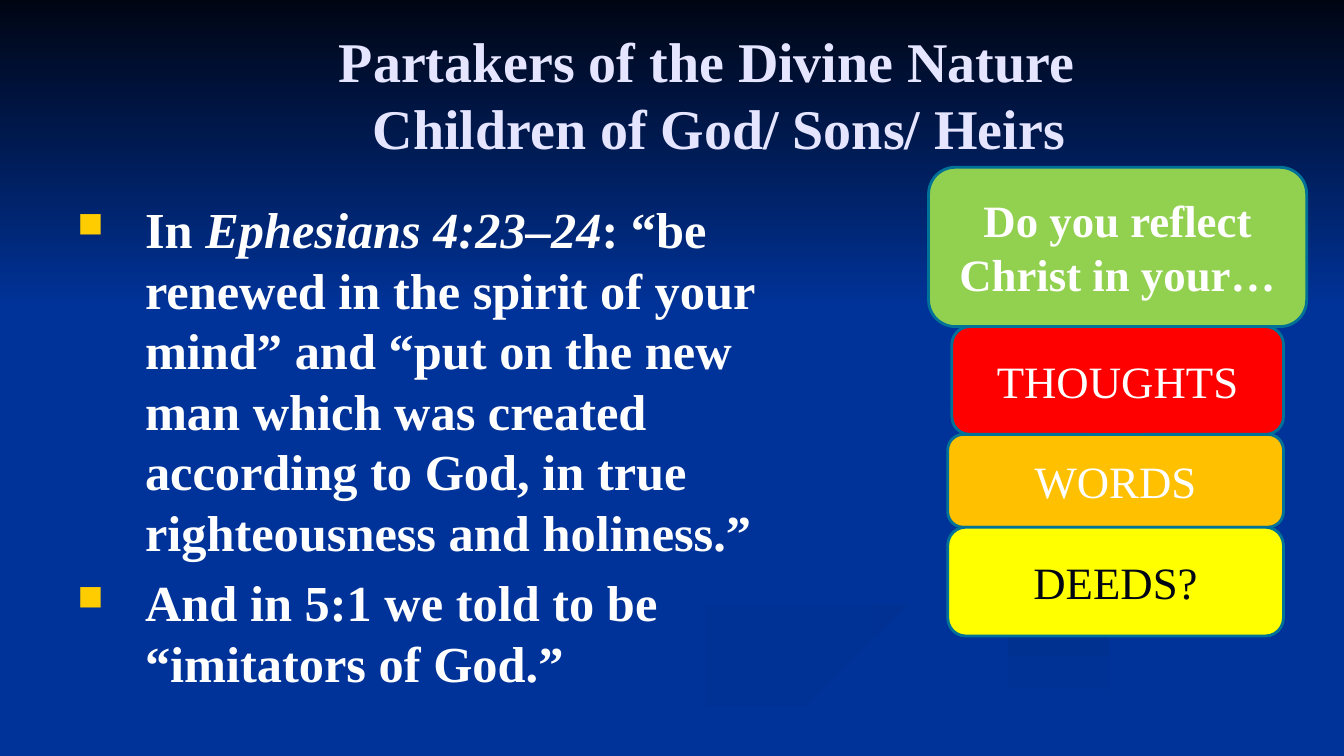
import pptx
import pptx.util
import pptx.dml.color
import pptx.enum.shapes
import pptx.enum.text
import pptx.oxml.ns
from lxml import etree

COLUMNS, ROWS = 13.33, 7.5
UNIT = pptx.util.Inches(1)
FONT = "Times New Roman"
COLORS = {
    "ground": "003399", "night": "000514", "title": "E5E5FF", "text": "FFFFFF",
    "bullet": "FFCC00", "border": "007197", "green": "92D050", "red": "FF0000",
    "amber": "FFC000", "yellow": "FFFF00", "left_tail": "003193",
    "right_tail": "002F8C", "loop": "002F8E",
}
SWIRLS = [
    ("ground", "left_tail", 0,
     [(7.67, 4.59), (7.74, 4.84), (8.72, 5.13), (10.41, 5.56), (9.51, 6.05), (6.65, 6.61), (4, 7.49)],
     [(4.82, 7.49), (7.09, 6.74), (9.87, 6.18), (10.66, 5.73), (8.81, 5.13), (7.77, 4.77)]),
    ("right_tail", "ground", 90,
     [(6.71, 7.49), (8.4, 6.93), (10.62, 6.38), (13.31, 5.81)],
     [(13.31, 6.09), (10.95, 6.51), (8.65, 7.1), (7.62, 7.49)]),
    ("loop", "ground", 45,
     [(10.17, 2.33), (11.63, 2.99), (11.68, 3.6), (9.39, 4.09), (7.96, 4.37), (7.71, 4.68), (8.29, 5)],
     [(7.91, 4.7), (8.32, 4.44), (9.5, 4.26), (11.22, 3.96), (11.91, 3.44), (11.52, 2.91)]),
]
CARDS = [
    ("Do you reflect Christ in your…", "green", "text", True, 0, 3.75, 1.58),
    ("THOUGHTS", "red", "text", False, 0.23, 3.29, 1.07),
    ("WORDS", "amber", "text", False, 0.19, 3.33, 0.92),
    ("DEEDS?", "yellow", "night", False, 0.19, 3.33, 1.08),
]
VERSES = [
    [("In ", False), ("Ephesians 4:23–24", True),
     (": “be renewed in the spirit of your mind” and “put on the new man which was created "
      "according to God, in true righteousness and holiness.”", False)],
    [("And in 5:1 we told to be “imitators of God.”", False)],
]


def rgb(name):
    return pptx.dml.color.RGBColor.from_string(COLORS[name])


def emu(*cells):
    return [int(cell * UNIT) for cell in cells]


def smooth(points, steps=6):
    padded = [points[0], *points, points[-1]]
    curve = []
    for a, b, c, d in zip(padded, padded[1:], padded[2:], padded[3:]):
        for step in range(steps):
            t = step / steps
            curve.append(tuple(
                q + t * (r - p + t * (2 * p - 5 * q + 4 * r - u + t * (3 * (q - r) + u - p))) / 2
                for p, q, r, u in zip(a, b, c, d)))
    return curve + [points[-1]]


def shade(sp, first, last, angle):
    sp.shadow.inherit = False
    sp.line.fill.background()
    sp.fill.gradient()
    sp.fill.gradient_angle = (360 - angle) % 360
    for stop, name in zip(sp.fill.gradient_stops, (first, last)):
        stop.color.rgb = rgb(name)


def add_run(p, text, size, color, bold=True, italic=False):
    r = p.add_run()
    r.text = text
    r.font.name, r.font.size = FONT, pptx.util.Pt(size)
    r.font.bold, r.font.italic = bold, italic
    r.font.color.rgb = rgb(color)


def set_indent(p, left, first):
    pPr = p._p.get_or_add_pPr()
    pPr.set("marL", str(emu(left)[0]))
    pPr.set("indent", str(emu(first)[0]))
    return pPr


def add_backdrop(s, left, top, width, height):
    s.background.fill.solid()
    s.background.fill.fore_color.rgb = rgb("ground")
    for first, last, angle, outer, inner in SWIRLS:
        spots = [(left + x, top + y) for x, y in smooth(outer) + smooth(inner)]
        pen = s.shapes.build_freeform(*spots[0], scale=UNIT)
        pen.add_line_segments(spots[1:], close=True)
        shade(pen.convert_to_shape(), first, last, angle)
    sky = s.shapes.add_shape(pptx.enum.shapes.MSO_SHAPE.RECTANGLE,
                             *emu(left, top, width, height * 0.41))
    shade(sky, "night", "ground", 90)


def add_title(s, left, top, width, height):
    tf = s.shapes.add_textbox(*emu(left, top, width, height)).text_frame
    tf.word_wrap = True
    tf.vertical_anchor = pptx.enum.text.MSO_ANCHOR.MIDDLE
    p = tf.paragraphs[0]
    p.alignment = pptx.enum.text.PP_ALIGN.CENTER
    set_indent(p, 0.92, -0.24)
    add_run(p, "Partakers of the Divine Nature", 40, "title")
    p.add_line_break()
    add_run(p, "Children of God/ Sons/ Heirs", 40, "title")


def add_verses(s, left, top, width, height):
    tf = s.shapes.add_textbox(*emu(left, top, width, height)).text_frame
    tf.word_wrap = True
    qn = pptx.oxml.ns.qn
    for i, verse in enumerate(VERSES):
        p = tf.add_paragraph() if i else tf.paragraphs[0]
        pPr = set_indent(p, 0.67, -0.67)
        color = etree.SubElement(pPr, qn("a:buClr"))
        etree.SubElement(color, qn("a:srgbClr"), val=COLORS["bullet"])
        etree.SubElement(pPr, qn("a:buSzPct"), val="70000")
        etree.SubElement(pPr, qn("a:buChar"), char="■")
        if i:
            p.space_before = pptx.util.Pt(7.2)
        for text, italic in verse:
            add_run(p, text, 36, "text", italic=italic)


def add_cards(s, left, top):
    for text, fill, color, bold, inset, width, height in CARDS:
        sp = s.shapes.add_shape(pptx.enum.shapes.MSO_SHAPE.ROUNDED_RECTANGLE,
                                *emu(left + inset, top, width, height))
        sp.shadow.inherit = False
        sp.fill.solid()
        sp.fill.fore_color.rgb = rgb(fill)
        sp.line.color.rgb = rgb("border")
        sp.line.width = pptx.util.Pt(2)
        tf = sp.text_frame
        tf.word_wrap = True
        tf.vertical_anchor = pptx.enum.text.MSO_ANCHOR.MIDDLE
        p = tf.paragraphs[0]
        p.alignment = pptx.enum.text.PP_ALIGN.CENTER
        add_run(p, text, 32, color, bold)
        top += height


def main():
    prs = pptx.Presentation()
    prs.slide_width, prs.slide_height = emu(COLUMNS, ROWS)
    s = prs.slides.add_slide(prs.slide_layouts[6])
    add_backdrop(s, 0, 0, COLUMNS, ROWS)
    add_title(s, 0.67, 0.3, 12, 1.25)
    add_verses(s, 0.67, 1.92, 7, 5.28)
    add_cards(s, 9.21, 1.66)
    prs.save("out.pptx")


if __name__ == "__main__":
    main()
